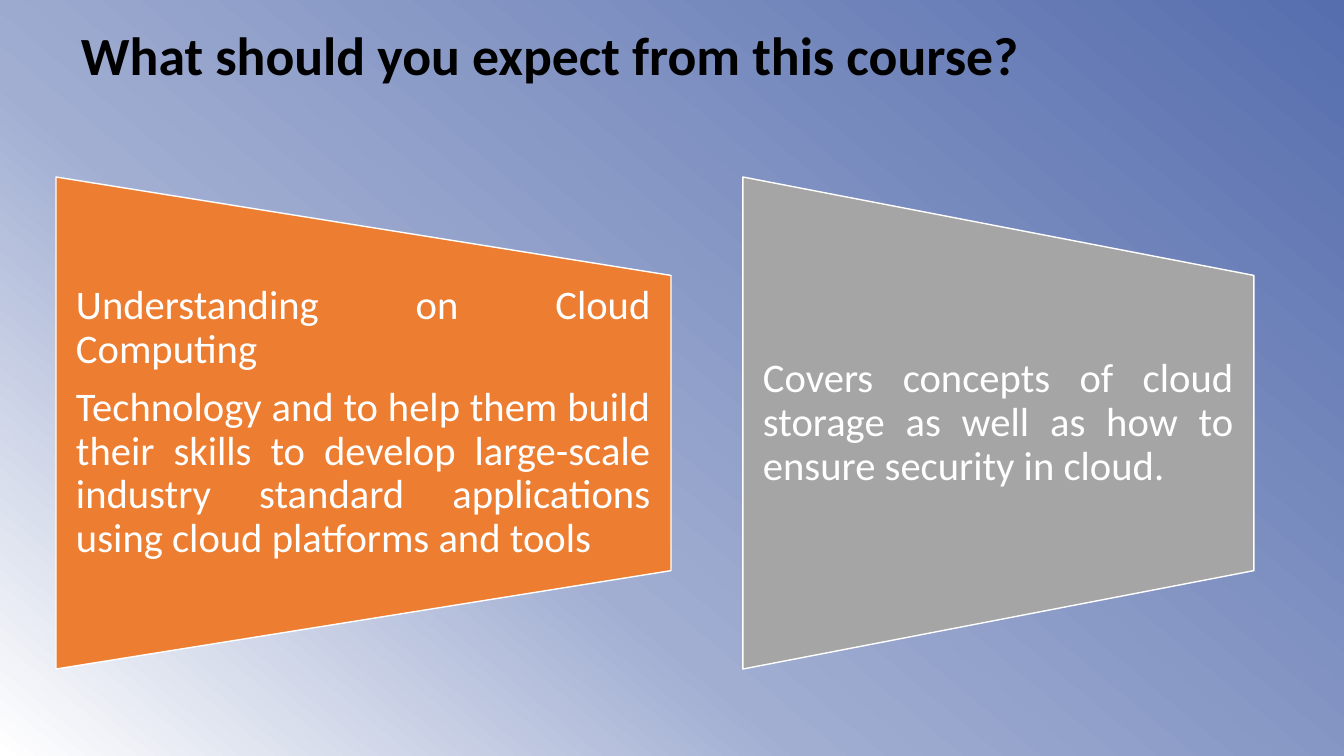
from copy import deepcopy

from pptx import Presentation
from pptx import util as u
from pptx.dml.color import RGBColor
from pptx.enum import shapes, text
from pptx.oxml.ns import qn

EMU_PER_PX = 914400 / 100.8
FONT = "Calibri"
BLACK = RGBColor(0x00, 0x00, 0x00)
WHITE = RGBColor(0xFF, 0xFF, 0xFF)
ORANGE = RGBColor(0xED, 0x7D, 0x31)
GRAY = RGBColor(0xA5, 0xA5, 0xA5)
BACKGROUND_STOPS = [
    (0, RGBColor(0x56, 0x6E, 0xAE)),
    (0.64, RGBColor(0xA1, 0xAE, 0xD2)),
    (1, WHITE),
]

PANEL_TOP, PANEL_HEIGHT = 177, 492
PANELS = [
    (56, 615, ORANGE, [
        "Understanding on Cloud Computing",
        "Technology and to help them build their skills to develop large-scale "
        "industry standard applications using cloud platforms and tools",
    ]),
    (743, 511, GRAY, [
        "Covers concepts of cloud storage as well as how to ensure security in cloud.",
    ]),
]


def px(length):
    return u.Emu(round(length * EMU_PER_PX))


def paint_background(page):
    fill = page.background.fill
    fill.gradient()
    # The default gradient has two stops; a third is needed
    stop_list = page.element.find(".//" + qn("a:gsLst"))
    stop_list.append(deepcopy(stop_list[-1]))
    for stop, (position, color) in zip(fill.gradient_stops, BACKGROUND_STOPS):
        stop.position = position
        stop.color.rgb = color
    fill.gradient_angle = 230


def add_text(page, left, top, width, height, paragraphs, size, color,
             bold=False, align=text.PP_ALIGN.LEFT, inset=10, gap=0):
    box = page.shapes.add_textbox(px(left), px(top), px(width), px(height))
    frame = box.text_frame
    frame.word_wrap = True
    frame.vertical_anchor = text.MSO_ANCHOR.MIDDLE
    frame.margin_left = frame.margin_right = px(inset)
    frame.margin_top = frame.margin_bottom = 0
    for index, words in enumerate(paragraphs):
        para = frame.add_paragraph() if index else frame.paragraphs[0]
        para.alignment = align
        para.line_spacing = 0.9
        para.space_after = u.Pt(gap)
        span = para.add_run()
        span.text = words
        span.font.name = FONT
        span.font.size = u.Pt(size)
        span.font.bold = bold
        span.font.color.rgb = color


def add_panel(page, left, width, color, paragraphs):
    # Trapezoid turned on its side, so its own width and height are swapped
    shift = (width - PANEL_HEIGHT) / 2
    panel = page.shapes.add_shape(
        shapes.MSO_SHAPE.FLOWCHART_MANUAL_OPERATION,
        px(left + shift), px(PANEL_TOP - shift), px(PANEL_HEIGHT), px(width))
    panel.rotation = 270
    panel.shadow.inherit = False
    panel.fill.solid()
    panel.fill.fore_color.rgb = color
    panel.line.color.rgb = WHITE
    panel.line.width = u.Pt(1)
    # Text fills the middle three fifths of the panel
    add_text(page, left, PANEL_TOP + PANEL_HEIGHT / 5, width, PANEL_HEIGHT * 3 / 5,
             paragraphs, 29, WHITE, align=text.PP_ALIGN.JUSTIFY, inset=20, gap=10)


def main():
    deck = Presentation()
    deck.slide_width, deck.slide_height = px(1344), px(756)
    page = deck.slides.add_slide(deck.slide_layouts[6])
    paint_background(page)

    # Title
    add_text(page, 71, 22, 1204, 73, ["What should you expect from this course?"],
             38.4, BLACK, bold=True)

    # Course outcomes
    for left, width, color, paragraphs in PANELS:
        add_panel(page, left, width, color, paragraphs)

    deck.save("out.pptx")


if __name__ == "__main__":
    main()
